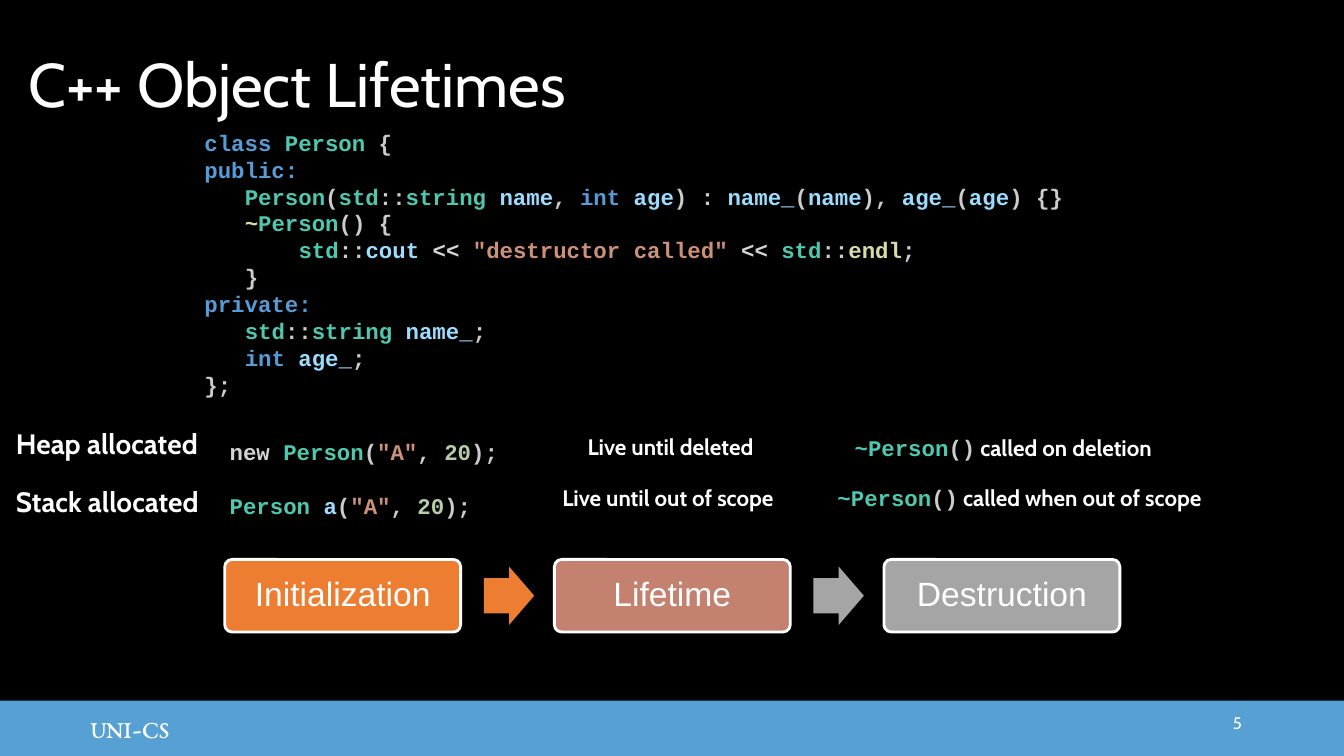
"""Builds a slide on the lifetime of C++ objects, from initialization to destruction."""
from itertools import groupby

from pptx import Presentation
from pptx.dml.color import RGBColor
from pptx.enum.shapes import MSO_SHAPE
from pptx.enum.text import MSO_ANCHOR, MSO_AUTO_SIZE, PP_ALIGN
from pptx.util import Inches, Pt

COLOURS = {
    "black": "000000", "white": "FFFFFF", "footer": "56A0D3",
    "orange": "ED7D31", "rose": "C48170", "grey": "A5A5A5",
    "keyword": "569CD6", "type": "4EC9B0", "variable": "9CDCFE",
    "string": "CE9178", "number": "B5CEA8", "function": "DCDCAA",
    "operator": "D4D4D4", "plain": "CCCCCC",
}
VOCABULARY = {
    "keyword": ["class", "public", "private", "int", ":"],
    "type": ["Person", "std", "string"],
    "variable": ["name", "age", "name_", "age_", "cout", "a"],
    "string": ['"destructor', 'called"', '"A"'],
    "number": ["20"],
    "function": ["endl", "~"],
    "operator": ["<<", "new"],
}
TOKEN_KINDS = {token: kind for kind, tokens in VOCABULARY.items() for token in tokens}
PERSON_CLASS = [
    (0, "class Person {"),
    (0, "public:"),
    (3, "Person(std::string name, int age) : name_(name), age_(age) {}"),
    (3, "~Person() {"),
    (7, 'std::cout << "destructor called" << std::endl;'),
    (3, "}"),
    (0, "private:"),
    (3, "std::string name_;"),
    (3, "int age_;"),
    (0, "};"),
]
ALLOCATIONS = [
    (16.56, "Heap allocated", 17.08, 'new Person("A", 20);'),
    (18.84, "Stack allocated", 19.2, 'Person a("A", 20);'),
]
LIFETIMES = [
    (17.19, 16.56, 5.61, "Live until deleted"),
    (16.44, 18.56, 7.11, "Live until out of scope"),
]
DESTRUCTIONS = [
    (25.14, 16.6, 9.87, " called on deletion"),
    (24.63, 18.56, 11.52, " called when out of scope"),
]
STAGES = [("Initialization", "orange"), ("Lifetime", "rose"), ("Destruction", "grey")]
ARROW_COLOURS = ["orange", "grey"]
STAGE_LEFT, STAGE_PITCH, ARROW_OFFSET = 6.69, 9.81, 7.71
CODE_SIZE = 16
CHARACTER_WIDTH = Pt(CODE_SIZE * 0.6)


def colour(name):
    return RGBColor.from_string(COLOURS[name])


def write(paragraph, text, size=16, font="Cabin", fill="white", bold=False):
    run = paragraph.add_run()
    run.text = text
    run.font.size = Pt(size)
    run.font.name = font
    run.font.bold = bold
    run.font.color.rgb = colour(fill)


def write_code(paragraph, code):
    for _, characters in groupby(code, key=lambda c: c.isalnum() or c in '_"'):
        token = "".join(characters)
        kind = TOKEN_KINDS.get(token.strip(), "plain")
        write(paragraph, token, CODE_SIZE, "Courier New", kind, bold=True)


class LifetimeSlide:
    def __init__(self, deck):
        self.column = deck.slide_width / 40
        self.row = deck.slide_height / 30
        self.slide = deck.slides.add_slide(deck.slide_layouts[5])
        self.slide.background.fill.solid()
        self.slide.background.fill.fore_color.rgb = colour("black")

    def area(self, left, top, width, height):
        return (round(left * self.column), round(top * self.row),
                round(width * self.column), round(height * self.row))

    def frame(self, shape, anchor, insets, align=PP_ALIGN.LEFT, spacing=None):
        body = shape.text_frame
        body.word_wrap = True
        body.auto_size = MSO_AUTO_SIZE.NONE
        body.vertical_anchor = anchor
        (body.margin_left, body.margin_top,
         body.margin_right, body.margin_bottom) = map(Inches, insets)
        paragraph = body.paragraphs[0]
        paragraph.alignment = align
        paragraph.line_spacing = spacing
        return paragraph

    def title(self, text, *area):
        heading = self.slide.shapes.title
        heading.left, heading.top, heading.width, heading.height = self.area(*area)
        line = self.frame(heading, MSO_ANCHOR.MIDDLE, [0.1] * 4, spacing=0.9)
        write(line, text, size=44)

    def label(self, *area, anchor=MSO_ANCHOR.BOTTOM, insets=(0.1, 0.1, 0, 0.1),
              align=PP_ALIGN.LEFT):
        box = self.slide.shapes.add_textbox(*self.area(*area))
        return self.frame(box, anchor, insets, align, 0.9)

    def code(self, lines, *area):
        listing = self.slide.shapes.add_textbox(*self.area(*area))
        paragraph = self.frame(listing, MSO_ANCHOR.TOP, (0.1, 0.08, 0, 0))
        for number, (indent, text) in enumerate(lines):
            if number:
                paragraph = listing.text_frame.add_paragraph()
            paragraph.line_spacing = Pt(19.2)
            paragraph._p.get_or_add_pPr().set("marL", str(indent * CHARACTER_WIDTH))
            write_code(paragraph, text)

    def block(self, preset, fill, *area, adjustments=(), outline=None):
        block = self.slide.shapes.add_shape(preset, *self.area(*area))
        block.shadow.inherit = False
        for index, value in enumerate(adjustments):
            block.adjustments[index] = value
        block.fill.solid()
        block.fill.fore_color.rgb = colour(fill)
        if outline:
            block.line.color.rgb = colour(outline)
            block.line.width = Pt(2)
        else:
            block.line.fill.background()
        return block

    def footer(self, department, number):
        band = self.block(MSO_SHAPE.RECTANGLE, "footer", 0, 27.8, 40, 2.2)
        line = self.frame(band, MSO_ANCHOR.MIDDLE, (0.9, 0.05, 0.1, 0.05))
        write(line, department, size=18, font="EB Garamond")
        page = self.label(32.76, 27.92, 4.5, 1.6, anchor=MSO_ANCHOR.MIDDLE,
                          insets=(0.1, 0.05, 0.1, 0.05), align=PP_ALIGN.RIGHT)
        write(page, number, size=12)

    def stage(self, position, name, fill):
        left = STAGE_LEFT + position * STAGE_PITCH
        box = self.block(MSO_SHAPE.ROUNDED_RECTANGLE, fill, left, 22.2, 7.02, 2.88,
                         adjustments=[0.1], outline="white")
        line = self.frame(box, MSO_ANCHOR.MIDDLE, [0.1] * 4, PP_ALIGN.CENTER, 0.9)
        write(line, name, size=24, font="Arial")

    def arrow(self, position, fill):
        left = STAGE_LEFT + position * STAGE_PITCH + ARROW_OFFSET
        self.block(MSO_SHAPE.RIGHT_ARROW, fill, left, 22.48, 1.5, 2.32,
                   adjustments=[0.6, 0.5])


def main():
    deck = Presentation()
    deck.slide_width, deck.slide_height = Inches(13.33), Inches(7.5)
    page = LifetimeSlide(deck)
    page.footer("UNI-CS", "5")
    page.title("C++ Object Lifetimes", 0.54, 0.56, 34.5, 5.8)
    page.code(PERSON_CLASS, 5.79, 4.8, 28.38, 13.32)
    for position, (name, fill) in enumerate(STAGES):
        page.stage(position, name, fill)
    for position, fill in enumerate(ARROW_COLOURS):
        page.arrow(position, fill)
    for label_top, name, code_top, statement in ALLOCATIONS:
        write(page.label(0.18, label_top, 6.48, 2.12), name, size=20, bold=True)
        page.code([(0, statement)], 6.54, code_top, 8.64, 1.48)
    for left, top, width, lifetime in LIFETIMES:
        write(page.label(left, top, width, 2.12), lifetime, bold=True)
    for left, top, width, moment in DESTRUCTIONS:
        line = page.label(left, top, width, 2.12)
        write(line, "~Person", font="Courier New", fill="type", bold=True)
        write(line, "()", font="Courier New", fill="plain", bold=True)
        write(line, moment, bold=True)
    deck.save("out.pptx")


if __name__ == "__main__":
    main()
